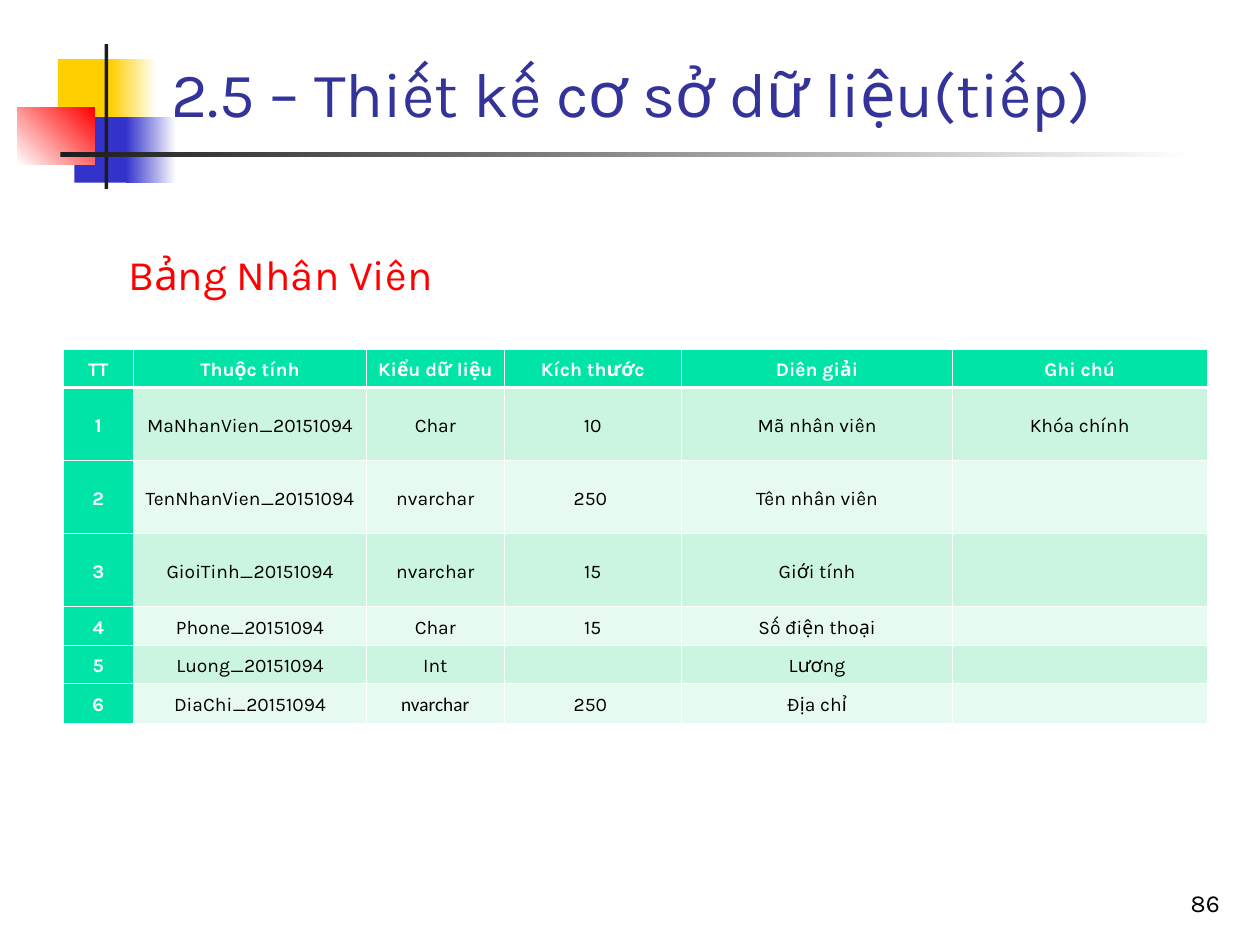
"""Build the employee table slide of a database design lecture."""
import pptx
import pptx.util
import pptx.dml.color
import pptx.enum.shapes
import pptx.enum.text
import pptx.oxml
import pptx.oxml.ns
from pptx.util import Inches

ALIGN = pptx.enum.text.PP_ALIGN
ANCHOR = pptx.enum.text.MSO_ANCHOR
GREEN, BANDS = "00E4A8", ("CBF5E1", "E7FAF1")
COLUMNS = (0.56, 1.85, 1.09, 1.41, 2.15, 2.02)
HEIGHTS = (0.29, 0.58, 0.58, 0.58, 0.29, 0.29, 0.29)
ROWS = (
    ("TT", "Thuộc tính", "Kiểu dữ liệu", "Kích thước", "Diên giải", "Ghi chú"),
    ("1", "MaNhanVien_20151094", "Char", "10", "Mã nhân viên", "Khóa chính"),
    ("2", "TenNhanVien_20151094", "nvarchar", "250 ", "Tên nhân viên", ""),
    ("3", "GioiTinh_20151094", "nvarchar", "15", "Giới tính", ""),
    ("4", "Phone_20151094", "Char", "15", "Số điện thoại", ""),
    ("5", "Luong_20151094", "Int", "", "Lương", ""),
    ("6", "DiaChi_20151094", "nvarchar", "250 ", "Địa chỉ", ""),
)
DECORATION = (
    ((0.46, 0.47, 0.48, 0.52), ("FFCF01",), 0),
    ((0.88, 0.47, 0.36, 0.52), ("FFCF01", "FFFFFF"), 0),
    ((0.59, 0.93, 0.46, 0.52), ("3333CC",), 0),
    ((1, 0.93, 0.4, 0.52), ("3333CC", "FFFFFF"), 0),
    ((0.14, 0.85, 0.61, 0.46), ("FFFFFF", "FF0000"), 45),
    ((0.83, 0.35, 0.03, 1.15), ("1C1C1C",), 0),
    ((0.48, 1.21, 9, 0.04), ("1C1C1C", "FFFFFF"), 0),
)


def rgb(value):
    return pptx.dml.color.RGBColor.from_string(value)


class Deck:
    font = "Karla"

    def __init__(self):
        self.prs = pptx.Presentation()
        self.prs.slide_width, self.prs.slide_height = Inches(10), Inches(7.5)
        self.s = self.prs.slides.add_slide(self.prs.slide_layouts[5])

    def paragraph(self, tf, text, size, color, align=ALIGN.LEFT, bold=False, font=None):
        p = tf.paragraphs[0]
        p.text = text
        p.alignment = align
        p.font.name = font or self.font
        p.font.size = pptx.util.Pt(size)
        p.font.bold = bold
        p.font.color.rgb = rgb(color)
        return p

    def title(self, text, box, size, color):
        sp = self.s.shapes.title
        sp.left, sp.top, sp.width, sp.height = map(Inches, box)
        tf = sp.text_frame
        tf.auto_size = pptx.enum.text.MSO_AUTO_SIZE.NONE
        tf.vertical_anchor = ANCHOR.BOTTOM
        self.paragraph(tf, text, size, color)

    def rect(self, box, colors, angle=0, line=None):
        sp = self.s.shapes.add_shape(pptx.enum.shapes.MSO_SHAPE.RECTANGLE, *map(Inches, box))
        sp.shadow.inherit = False
        if len(colors) == 1:
            sp.fill.solid()
            sp.fill.fore_color.rgb = rgb(colors[0])
        else:
            sp.fill.gradient()
            sp.fill.gradient_angle = angle
            for stop, color in zip(sp.fill.gradient_stops, colors):
                stop.color.rgb = rgb(color)
        if line:
            sp.line.color.rgb = rgb(line)
            sp.line.width = pptx.util.Pt(0.75)
        else:
            sp.line.fill.background()
        return sp

    def label(self, text, box, size, color):
        tf = self.rect(box, ("FFFFFF",), line="FFFFFF").text_frame
        tf.vertical_anchor = ANCHOR.TOP
        self.paragraph(tf, text, size, color)

    def text(self, text, box, size, color, align):
        tf = self.s.shapes.add_textbox(*map(Inches, box)).text_frame
        tf.word_wrap = True
        tf.vertical_anchor = ANCHOR.BOTTOM
        self.paragraph(tf, text, size, color, align)

    def borders(self, cell, row):
        heavy = {0: "lnB", 1: "lnT"}.get(row)
        for side in ("lnL", "lnR", "lnT", "lnB"):
            width = pptx.util.Pt(1.47 if side == heavy else 0.45)
            cell._tc.get_or_add_tcPr().append(pptx.oxml.parse_xml(
                f'<a:{side} {pptx.oxml.ns.nsdecls("a")} w="{width}"><a:solidFill>'
                f'<a:srgbClr val="FFFFFF"/></a:solidFill></a:{side}>'))

    def table(self, rows, left, top, widths, heights, size, fonts):
        box = map(Inches, (left, top, sum(widths), sum(heights)))
        table = self.s.shapes.add_table(len(rows), len(widths), *box).table
        table.horz_banding = False
        for column, width in zip(table.columns, widths):
            column.width = Inches(width)
        for i, values in enumerate(rows):
            table.rows[i].height = Inches(heights[i])
            for j, value in enumerate(values):
                cell = table.cell(i, j)
                head = i == 0 or j == 0
                cell.margin_left = cell.margin_right = Inches(0.08)
                cell.vertical_anchor = ANCHOR.MIDDLE
                self.borders(cell, i)
                cell.fill.solid()
                cell.fill.fore_color.rgb = rgb(GREEN if head else BANDS[(i - 1) % 2])
                p = self.paragraph(cell.text_frame, value, size, "FFFFFF" if head else "000000",
                                   ALIGN.CENTER, head, fonts.get((i, j)))
                p.line_spacing = 1.15


def main():
    deck = Deck()
    for box, colors, angle in DECORATION:
        deck.rect(box, colors, angle)
    deck.title("2.5 – Thiết kế cơ sở dữ liệu(tiếp)", (1.26, 0.23, 8.52, 0.85), 36, "333399")
    deck.table(ROWS, 0.5, 2.77, COLUMNS, HEIGHTS, 11, {(6, 2): "Calibri"})
    deck.text("86", (7.7, 6.83, 2.08, 0.5), 14, "000000", ALIGN.RIGHT)
    deck.label("Bảng Nhân Viên", (0.92, 1.92, 3.08, 0.58), 24, "FF0000")
    deck.prs.save("out.pptx")


if __name__ == "__main__":
    main()
